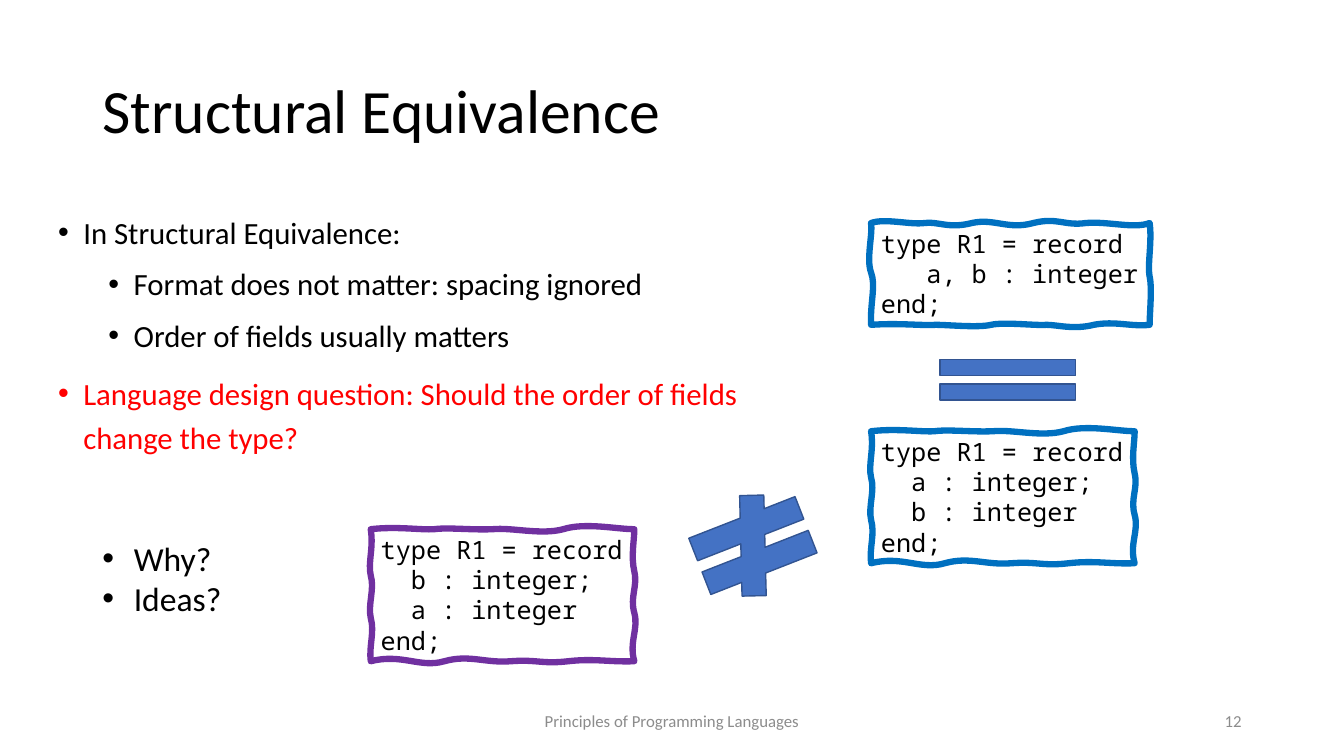
from dataclasses import dataclass

from lxml.etree import SubElement
from pptx import Presentation
from pptx.dml.color import RGBColor
from pptx.enum.shapes import MSO_SHAPE as Shape
from pptx.enum.text import MSO_ANCHOR as Anchor, PP_ALIGN as Align
from pptx.oxml.ns import qn
from pptx.util import Pt


@dataclass(frozen=True)
class Theme:
    text_font: str = "Calibri"
    code_font: str = "Noto Sans Mono"
    black: str = "000000"
    red: str = "FF0000"
    gray: str = "8C8C8C"
    blue: str = "0070C0"
    purple: str = "7030A0"
    symbol_fill: str = "4472C4"
    symbol_line: str = "325491"
    title_size: int = 44
    question_size: int = 24
    body_size: int = 22
    code_size: int = 18
    footer_size: int = 12


WIDE_OUTLINE = [
    (10, -3.6, 28, 1.4, 38.2, 0), (47.5, -1.4, 55.4, 4.3, 72, 0),
    (87.8, -3.6, 97.9, 5, 115.9, 0), (133.2, -4.3, 138.2, 2.2, 153.4, 0),
    (169.2, -1.4, 187.9, 4.3, 199, 0), (200.9, 13, 197.3, 29.5, 199, 38.2),
    (200.9, 46.8, 199, 64, 199, 72.7), (185.8, 74.2, 174.2, 69.8, 159.1, 72.7),
    (144.7, 76.3, 133.2, 72.7, 125.3, 72.7), (118.1, 73.4, 95, 70.6, 85.7, 72.7),
    (76.3, 74.9, 55.4, 72.7, 46.1, 72.7), (36, 73.4, 20.2, 71.3, 0, 72.7),
    (-0.7, 56.9, 3.6, 44.6, 0, 35.3), (-3.6, 25.9, 1.4, 7.2, 0, 0),
]
TALL_OUTLINE = [
    (18.7, -2.2, 36, 0.7, 45.4, 0), (54.7, -1.4, 72.7, 0.7, 87.1, 0),
    (100.8, -1.4, 121.7, 4.3, 137.5, 0), (153.4, -5, 175.7, 0, 188.3, 0),
    (188.3, 7.9, 185.8, 19.4, 188.3, 30.2), (190.8, 41, 185, 48.2, 188.3, 59.8),
    (191.5, 71.3, 184.3, 80.6, 188.3, 94.3), (170.6, 95, 159.8, 92.2, 141.1, 94.3),
    (122.4, 96.5, 118.8, 92.9, 100.1, 94.3), (81.4, 95.8, 70.6, 89.3, 52.6, 94.3),
    (35.3, 99.4, 22.3, 88.6, 0, 94.3), (-1.4, 83.5, 2.9, 73.4, 0, 63.4),
    (-2.2, 54, 2.9, 42.5, 0, 33.1), (-2.2, 23.8, 2.2, 13.7, 0, 0),
]


class SlideBuilder:
    def __init__(self, slide, theme):
        self.slide = slide
        self.theme = theme

    def style(self, paragraph, size, color, font=None):
        paragraph.font.name = font or self.theme.text_font
        paragraph.font.size = Pt(size)
        paragraph.font.color.rgb = RGBColor.from_string(color)

    def fill_lines(self, frame, lines):
        frame.text = "\n".join(lines)
        return frame.paragraphs

    def title(self, text, left, top, width, height):
        title = self.slide.shapes.title
        title.left, title.top, title.width, title.height = map(Pt, (left, top, width, height))
        title.text_frame.vertical_anchor = Anchor.MIDDLE
        paragraph, = self.fill_lines(title.text_frame, [text])
        paragraph.alignment = Align.LEFT
        paragraph.line_spacing = 0.9
        self.style(paragraph, self.theme.title_size, self.theme.black)

    def text_frame(self, left, top, width, height):
        frame = self.slide.shapes.add_textbox(*map(Pt, (left, top, width, height))).text_frame
        frame.word_wrap = True
        return frame

    def bullet(self, paragraph, margin, hanging):
        properties = paragraph._p.get_or_add_pPr()
        properties.set("marL", str(Pt(margin)))
        properties.set("indent", str(-Pt(hanging)))
        SubElement(properties, qn("a:buFont"), typeface="Arial")
        SubElement(properties, qn("a:buChar"), char="•")

    def outline_list(self, items, *box):
        paragraphs = self.fill_lines(self.text_frame(*box), [text for text, _, _ in items])
        for paragraph, (_, level, color) in zip(paragraphs, items):
            paragraph.level = level
            paragraph.line_spacing = 1.2
            paragraph.space_before = Pt(5 if level else 10)
            self.bullet(paragraph, 18 + 36 * level, 18)
            self.style(paragraph, self.theme.body_size, color)

    def question_list(self, questions, *box):
        for paragraph in self.fill_lines(self.text_frame(*box), questions):
            self.bullet(paragraph, 22.5, 22.5)
            self.style(paragraph, self.theme.question_size, self.theme.black)

    def footer(self, text, alignment, *box):
        frame = self.text_frame(*box)
        frame.vertical_anchor = Anchor.MIDDLE
        paragraph, = self.fill_lines(frame, [text])
        paragraph.alignment = alignment
        self.style(paragraph, self.theme.footer_size, self.theme.gray)

    def curved_shape(self, curves, left, top):
        builder = self.slide.shapes.build_freeform(Pt(left), Pt(top))
        builder.add_line_segments([(Pt(left + x), Pt(top + y)) for *_, x, y in curves])
        shape = builder.convert_to_shape()
        segments = list(shape._element.iter(qn("a:lnTo")))
        for segment, (x1, y1, x2, y2, _, _) in zip(segments, curves):
            curve = segment.getparent().makeelement(qn("a:cubicBezTo"))
            for x, y in ((x1, y1), (x2, y2)):
                SubElement(curve, qn("a:pt"), x=str(Pt(x)), y=str(Pt(y)))
            curve.append(segment[0])
            segment.getparent().replace(segment, curve)
        return shape

    def code_card(self, lines, curves, color, left, top):
        card = self.curved_shape(curves, left, top)
        card.shadow.inherit = False
        card.fill.background()
        card.line.color.rgb = RGBColor.from_string(color)
        card.line.width = Pt(4.5)
        frame = card.text_frame
        frame.word_wrap = False
        frame.vertical_anchor = Anchor.TOP
        for paragraph in self.fill_lines(frame, lines):
            paragraph.alignment = Align.LEFT
            self.style(paragraph, self.theme.code_size, self.theme.black, self.theme.code_font)

    def symbol(self, kind, left, top, width, height, rotation=0):
        symbol = self.slide.shapes.add_shape(kind, *map(Pt, (left, top, width, height)))
        symbol.shadow.inherit = False
        symbol.rotation = rotation
        symbol.fill.solid()
        symbol.fill.fore_color.rgb = RGBColor.from_string(self.theme.symbol_fill)
        symbol.line.color.rgb = RGBColor.from_string(self.theme.symbol_line)
        symbol.line.width = Pt(1)


theme = Theme()
presentation = Presentation()
presentation.slide_width, presentation.slide_height = Pt(960), Pt(540)
builder = SlideBuilder(presentation.slides.add_slide(presentation.slide_layouts[5]), theme)

builder.title("Structural Equivalence", 66, 28.8, 828, 104.4)
builder.outline_list([
    ("In Structural Equivalence:", 0, theme.black),
    ("Format does not matter: spacing ignored", 1, theme.black),
    ("Order of fields usually matters", 1, theme.black),
    ("Language design question: Should the order of fields change the type?", 0, theme.red),
], 34.4, 143.8, 536.4, 191.5)
builder.footer("Principles of Programming Languages", Align.CENTER, 318, 500.4, 324, 28.8)
builder.footer("12", Align.RIGHT, 678, 500.4, 216, 28.8)

opening, closing = "type R1 = record", "end;"
for fields, curves, color, left, top in [
    (["   a, b : integer"], WIDE_OUTLINE, theme.blue, 622.2, 159.3),
    (["  a : integer;", "  b : integer"], TALL_OUTLINE, theme.blue, 622.2, 308),
    (["  b : integer;", "  a : integer"], TALL_OUTLINE, theme.purple, 264.8, 378),
]:
    builder.code_card([opening, *fields, closing], curves, color, left, top)

builder.symbol(Shape.MATH_EQUAL, 653.8, 246.8, 132, 49)
builder.symbol(Shape.MATH_NOT_EQUAL, 482.4, 353, 110.9, 73.4, 338.6)
builder.question_list(["Why?", "Ideas?"], 66, 380.7, 100.8, 65.5)

presentation.save("out.pptx")
